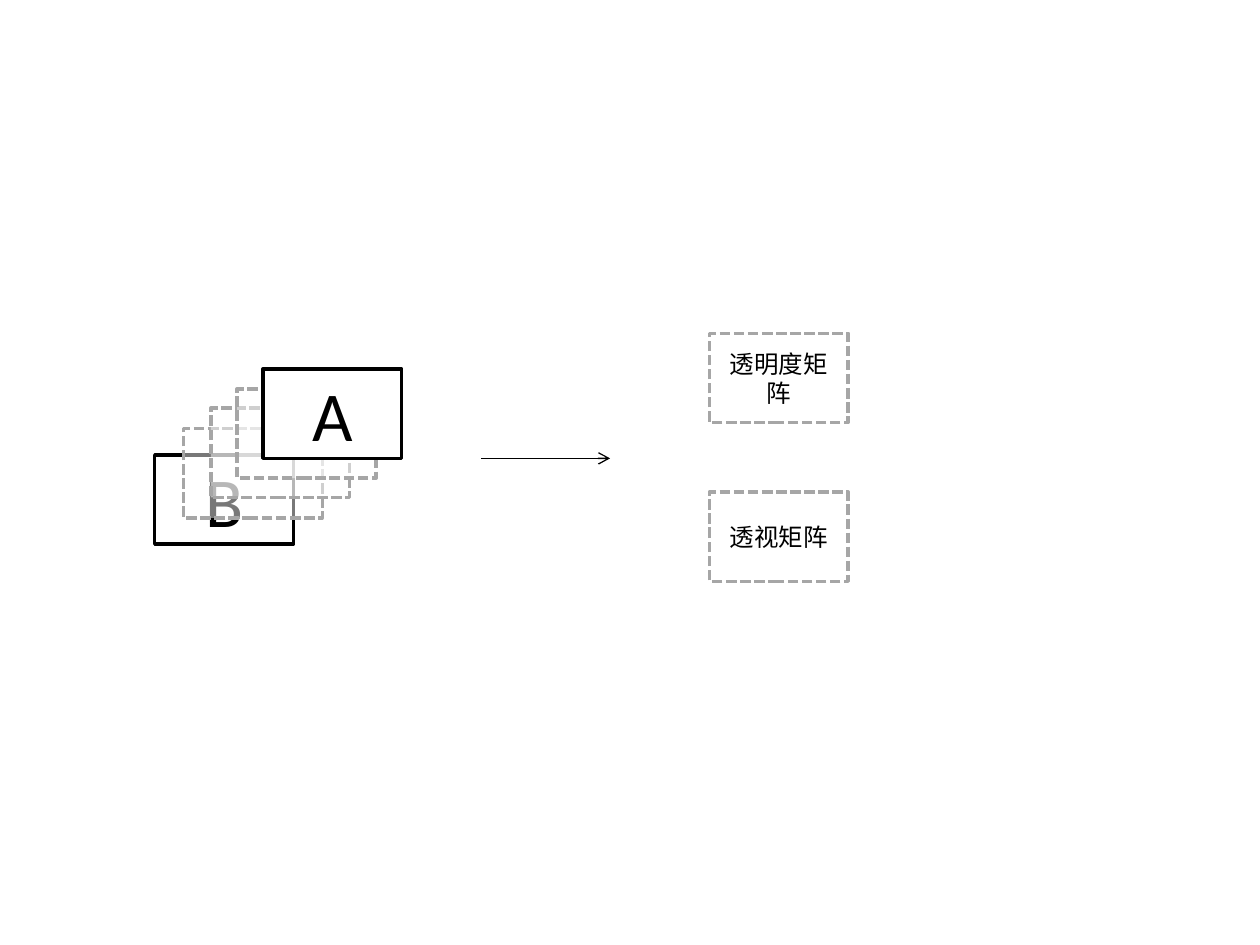
from dataclasses import dataclass

from lxml import etree
from pptx import Presentation
from pptx.dml.color import RGBColor
from pptx.enum.dml import MSO_LINE
from pptx.enum.shapes import MSO_CONNECTOR, MSO_SHAPE
from pptx.enum.text import MSO_ANCHOR, PP_ALIGN
from pptx.oxml.ns import qn
from pptx.util import Cm, Pt

RECTANGLE = MSO_SHAPE.RECTANGLE
STRAIGHT = MSO_CONNECTOR.STRAIGHT
DASHED = MSO_LINE.SQUARE_DOT
MIDDLE = MSO_ANCHOR.MIDDLE
CENTER = PP_ALIGN.CENTER


@dataclass(frozen=True)
class Theme:
    font: str = "Calibri"
    ink: RGBColor = RGBColor(0x00, 0x00, 0x00)
    paper: RGBColor = RGBColor(0xFF, 0xFF, 0xFF)
    ghost_line: RGBColor = RGBColor(0xA6, 0xA6, 0xA6)
    ghost_opacity: int = 47
    letter_size: int = 40
    label_size: int = 14
    frame_width: float = 2
    arrow_width: float = 0.75


THEME = Theme()
CARD_WIDTH = Cm(2.8)
CARD_HEIGHT = Cm(1.8)


def write_text(shape, text, *, size, color=THEME.ink, font=THEME.font):
    frame = shape.text_frame
    frame.word_wrap = True
    frame.vertical_anchor = MIDDLE
    paragraph = frame.paragraphs[0]
    paragraph.alignment = CENTER
    run = paragraph.add_run()
    run.text = text
    run.font.size = Pt(size)
    run.font.name = font
    run.font.color.rgb = color


def add_card(slide, left, top, *, ghost=False):
    card = slide.shapes.add_shape(RECTANGLE, left, top, CARD_WIDTH, CARD_HEIGHT)
    card.shadow.inherit = False
    card.fill.solid()
    card.fill.fore_color.rgb = THEME.paper
    card.line.width = Pt(THEME.frame_width)
    card.line.color.rgb = THEME.ghost_line if ghost else THEME.ink
    if ghost:
        card.line.dash_style = DASHED
        color = card.fill._xPr.find(qn("a:solidFill"))[0]
        etree.SubElement(color, qn("a:alpha"), val=str(THEME.ghost_opacity * 1000))
    return card


def add_card_stack(slide, left, top):
    back = add_card(slide, left, top + Cm(1.73))
    write_text(back, "B", size=THEME.letter_size)
    for across, down in ((0.58, 1.2), (1.13, 0.79), (1.66, 0.4)):
        add_card(slide, left + Cm(across), top + Cm(down), ghost=True)
    front = add_card(slide, left + Cm(2.18), top)
    write_text(front, "A", size=THEME.letter_size)


def add_arrow(slide, left, top, width):
    arrow = slide.shapes.add_connector(STRAIGHT, left, top, left + width, top)
    arrow.line.color.rgb = THEME.ink
    arrow.line.width = Pt(THEME.arrow_width)
    etree.SubElement(arrow.line._get_or_add_ln(), qn("a:tailEnd"), type="arrow")
    etree.SubElement(arrow._element.spPr, qn("a:effectLst"))


def add_matrices(slide, left, top, pitch):
    for index, label in enumerate(("透明度矩阵", "透视矩阵")):
        card = add_card(slide, left, top + index * pitch, ghost=True)
        write_text(card, label, size=THEME.label_size)


def main():
    presentation = Presentation()
    presentation.slide_width = Cm(25.4)
    presentation.slide_height = Cm(19.05)
    slide = presentation.slides.add_slide(presentation.slide_layouts[6])
    add_card_stack(slide, Cm(3.12), Cm(7.44))
    add_arrow(slide, Cm(9.7), Cm(9.24), Cm(2.6))
    add_matrices(slide, Cm(14.3), Cm(6.72), Cm(3.2))
    presentation.save("out.pptx")


if __name__ == "__main__":
    main()
